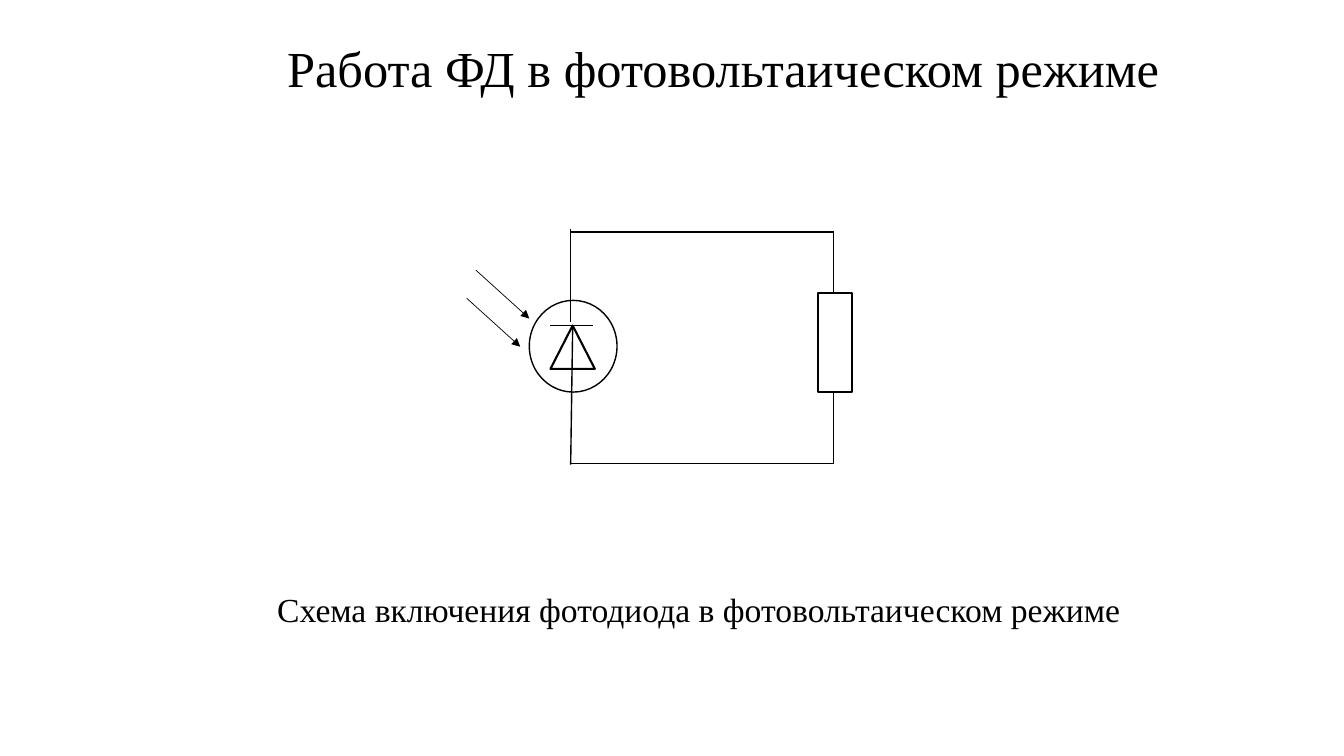
from pptx import Presentation
from pptx.dml.color import RGBColor
from pptx.enum.shapes import MSO_CONNECTOR, MSO_SHAPE
from pptx.enum.text import MSO_ANCHOR, PP_ALIGN
from pptx.oxml.ns import qn
from pptx.util import Inches, Pt
from lxml.etree import SubElement


def color(value):
    return RGBColor.from_string(value)


class CircuitSlide:
    """Holds the slide, its style and the group with the circuit diagram."""

    font = "Times New Roman"
    ink = "000000"

    def __init__(self, presentation):
        self.slide = presentation.slides.add_slide(presentation.slide_layouts[5])
        self.circuit = self.slide.shapes.add_group_shape().shapes

    def format_text(self, shape, text, size):
        frame = shape.text_frame
        frame.text = text
        frame.word_wrap = True
        frame.vertical_anchor = MSO_ANCHOR.TOP
        paragraph = frame.paragraphs[0]
        paragraph.alignment = PP_ALIGN.CENTER
        font = paragraph.runs[0].font
        font.name = self.font
        font.size = Pt(size)
        font.color.rgb = color(self.ink)

    def title(self, text, left, top, width, height, size):
        shape = self.slide.shapes.title
        shape.left, shape.top = Inches(left), Inches(top)
        shape.width, shape.height = Inches(width), Inches(height)
        self.format_text(shape, text, size)

    def caption(self, text, left, top, width, height, size):
        shape = self.slide.shapes.add_textbox(
            Inches(left), Inches(top), Inches(width), Inches(height))
        self.format_text(shape, text, size)

    def outline(self, kind, left, top, width, height, weight):
        shape = self.circuit.add_shape(
            kind, Inches(left), Inches(top), Inches(width), Inches(height))
        shape.shadow.inherit = False
        shape.fill.background()
        shape.line.color.rgb = color(self.ink)
        shape.line.width = Pt(weight)

    def wire(self, start, end, weight=1):
        connector = self.circuit.add_connector(
            MSO_CONNECTOR.STRAIGHT, *map(Inches, start + end))
        connector.line.color.rgb = color(self.ink)
        connector.line.width = Pt(weight)
        SubElement(connector._element.spPr, qn("a:effectLst"))
        return connector

    def light_ray(self, start, end):
        connector = self.wire(start, end, 0.5)
        SubElement(connector.line._get_or_add_ln(), qn("a:tailEnd"), type="triangle")


def main():
    presentation = Presentation()
    presentation.slide_width = Inches(13.33)
    presentation.slide_height = Inches(7.5)
    page = CircuitSlide(presentation)

    page.title("Работа ФД в фотовольтаическом режиме", 1.45, 0.32, 11.45, 0.71, 36)
    page.caption("Схема включения фотодиода в фотовольтаическом режиме",
                 2.29, 5.79, 9.28, 0.5, 24)

    left, right, top, bottom = 5.66, 8.27, 2.3, 4.6
    cathode = 3.23
    page.outline(MSO_SHAPE.OVAL, 5.25, 2.98, 0.87, 0.91, 1)
    page.wire((left, 3.19), (left, 2.27))
    page.outline(MSO_SHAPE.ISOSCELES_TRIANGLE, 5.46, cathode, 0.44, 0.43, 1.5)
    page.wire((5.46, cathode), (5.88, cathode), 1.25)
    page.wire((5.68, cathode), (left, 4.61))

    for x, y in ((4.72, 2.68), (4.63, 2.96)):
        page.light_ray((x, y), (x + 0.53, y + 0.48))

    for y in (top, bottom):
        page.wire((left, y), (right, y))
    page.outline(MSO_SHAPE.RECTANGLE, 8.11, 2.91, 0.34, 0.98, 1.25)
    for rail, resistor_end in ((top, 2.91), (bottom, 3.88)):
        page.wire((right, rail), (right, resistor_end))

    presentation.save("out.pptx")


if __name__ == "__main__":
    main()
